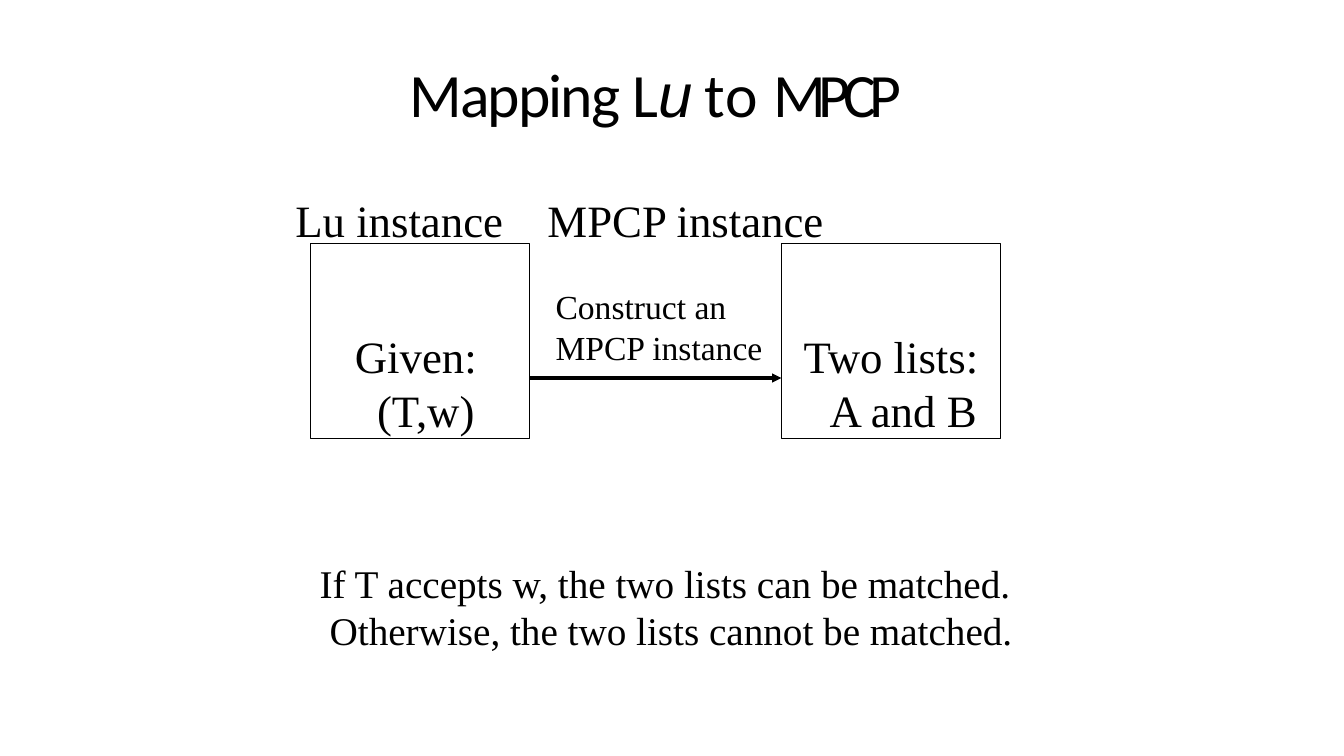
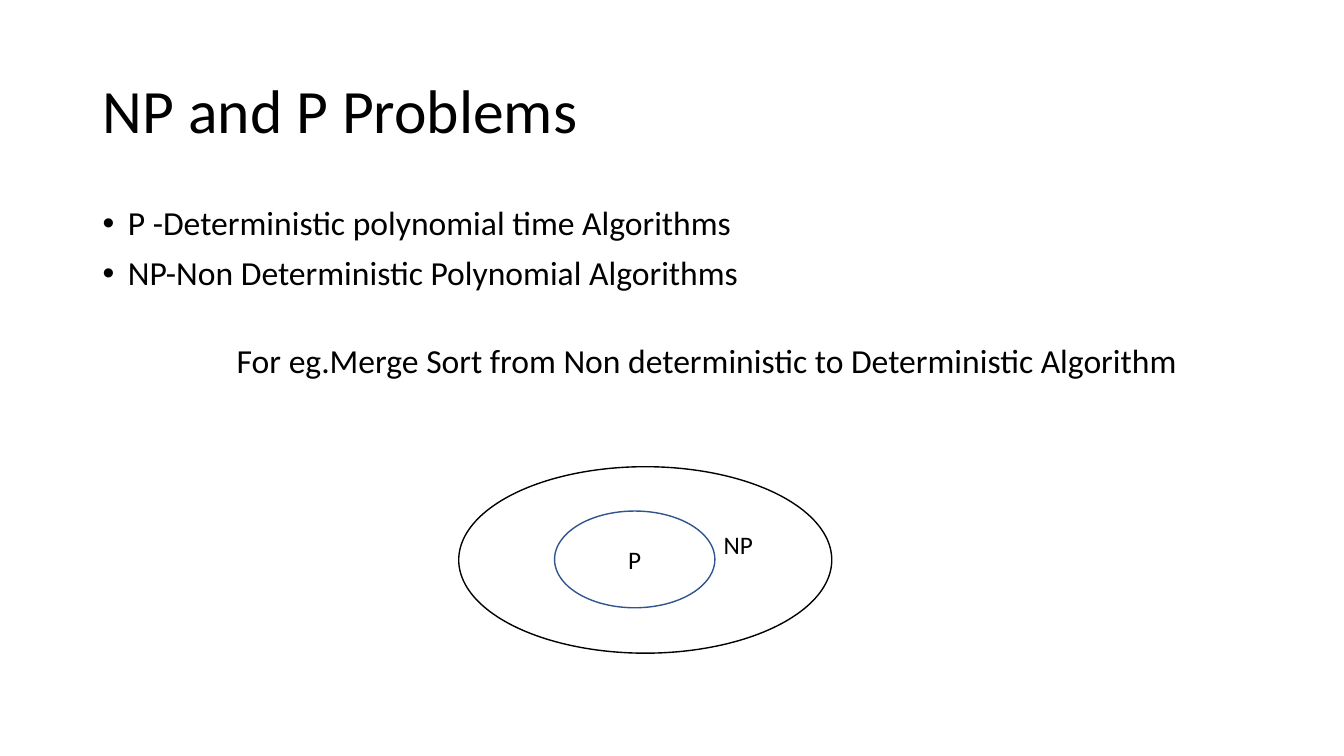
from dataclasses import dataclass

from lxml import etree
from pptx import Presentation
from pptx.dml.color import RGBColor
from pptx.enum.shapes import MSO_CONNECTOR, MSO_SHAPE
from pptx.enum.text import MSO_ANCHOR, MSO_AUTO_SIZE, PP_ALIGN
from pptx.oxml.ns import qn
from pptx.util import Inches, Pt

RECT, OVAL = MSO_SHAPE.RECTANGLE, MSO_SHAPE.OVAL
TOP, MIDDLE, BOTTOM = MSO_ANCHOR.TOP, MSO_ANCHOR.MIDDLE, MSO_ANCHOR.BOTTOM
LEFT, CENTER, RIGHT = PP_ALIGN.LEFT, PP_ALIGN.CENTER, PP_ALIGN.RIGHT

BLACK, WHITE, BLUE = "000000", "FFFFFF", "31538F"
SANS, SERIF, ITALIC_FONT = "Calibri", "Times New Roman", "Arial"
TITLE_SIZE = 44
TIGHT = (0.01, 0.01, 0, 0)
ROOMY = (0.1, 0.05, 0.1, 0.05)
TITLE_ONLY = 5


@dataclass
class Run:
    text: str
    spacing: float = 0
    font: str = ""
    italic: bool = False


@dataclass
class Para:
    runs: list[Run]
    left: float = 0
    hanging: float = 0
    bullet: str = ""
    tab: float = 0
    format: dict | None = None


@dataclass
class Style:
    size: float
    font: str
    insets: tuple = TIGHT
    anchor: MSO_ANCHOR = TOP
    align: PP_ALIGN = LEFT


@dataclass
class Stage:
    left: float
    lines: list[Para]


@dataclass
class Oval:
    at: tuple
    line: str
    label: str
    align: PP_ALIGN
    insets: tuple


def rgb(color: str) -> RGBColor:
    return RGBColor.from_string(color)


def line(text: str, left: float = 0, **options) -> Para:
    return Para([Run(text)], left, **options)


def box(at: tuple) -> list:
    return [Inches(v) for v in at]


def format_para(p, para: Para) -> None:
    """Set indents, bullet and tab, then the remaining paragraph formats."""
    ppr = p._p.get_or_add_pPr()
    ppr.set("marL", str(Inches(para.left)))
    ppr.set("indent", str(Inches(-para.hanging)))
    if para.bullet:
        color = etree.SubElement(ppr, qn("a:buClr"))
        etree.SubElement(color, qn("a:srgbClr"), val=BLACK)
        etree.SubElement(ppr, qn("a:buFont"), typeface=ITALIC_FONT)
        etree.SubElement(ppr, qn("a:buChar"), char=para.bullet)
    if para.tab:
        tabs = etree.SubElement(ppr, qn("a:tabLst"))
        etree.SubElement(tabs, qn("a:tab"), pos=str(Inches(para.tab)), algn="l")
    for name, value in (para.format or {}).items():
        setattr(p, name, value)


def write(tf, paras: list[Para], style: Style) -> None:
    sides = ("margin_left", "margin_top", "margin_right", "margin_bottom")
    formats = dict(zip(sides, box(style.insets)))
    formats |= {"word_wrap": True, "auto_size": MSO_AUTO_SIZE.NONE,
                "vertical_anchor": style.anchor}
    for name, value in formats.items():
        setattr(tf, name, value)
    for i, para in enumerate(paras):
        p = tf.add_paragraph() if i else tf.paragraphs[0]
        format_para(p, para)
        p.alignment = style.align
        for run in para.runs:
            r = p.add_run()
            r.text = run.text
            font = {"name": run.font or style.font, "size": Pt(style.size),
                    "italic": run.italic}
            for name, value in font.items():
                setattr(r.font, name, value)
            r.font.color.rgb = rgb(BLACK)
            if run.spacing:
                r.font._element.set("spc", str(round(run.spacing * 100)))


def add_slide(prs, at: tuple, title: Para, insets: tuple):
    s = prs.slides.add_slide(prs.slide_layouts[TITLE_ONLY])
    sp = s.shapes.title
    sp.left, sp.top, sp.width, sp.height = box(at)
    write(sp.text_frame, [title], Style(TITLE_SIZE, SANS, insets, MIDDLE))
    return s


def add_text(s, at: tuple, paras: list[Para], style: Style) -> None:
    write(s.shapes.add_textbox(*box(at)).text_frame, paras, style)


def add_outline(s, kind, at: tuple, color: str, width: float, fill: str = ""):
    sp = s.shapes.add_shape(kind, *box(at))
    sp.shadow.inherit = False
    if fill:
        sp.fill.solid()
        sp.fill.fore_color.rgb = rgb(fill)
    else:
        sp.fill.background()
    sp.line.color.rgb = rgb(color)
    sp.line.width = Pt(width)
    return sp


def add_arrow(s, start: tuple, end: tuple, width: float) -> None:
    c = s.shapes.add_connector(MSO_CONNECTOR.STRAIGHT, *box(start + end))
    c.line.color.rgb = rgb(BLACK)
    c.line.width = Pt(width)
    etree.SubElement(c.line._get_or_add_ln(), qn("a:tailEnd"), type="triangle")
    etree.SubElement(c._element.spPr, qn("a:effectLst"))


def mapping_slide(prs) -> None:
    title = Para([Run("Mapping ", -1.4), Run("L", -3.8),
                  Run("u ", -3.8, ITALIC_FONT, True), Run("to ", 0.6),
                  Run("MPCP", -5.2)])
    s = add_slide(prs, (4.05, 0.54, 5.23, 0.76), title, TIGHT)

    top, width, height = 2.42, 2.17, 1.93
    fixed = {"line_spacing": Pt(38.3)}
    stages = [
        Stage(3.08, [line("Given:", 0.43, format=fixed),
                     line("(T,w)", 0.65, format=fixed)]),
        Stage(7.75, [line("Two lists:", 0.21, format=fixed),
                     line("A and B", 0.47, format=fixed)]),
    ]
    stage_style = Style(32, SERIF, (0.01, 0.01, 0, 0.02), BOTTOM)
    for stage in stages:
        sp = add_outline(s, RECT, (stage.left, top, width, height), BLACK, 0.75)
        write(sp.text_frame, stage.lines, stage_style)

    source, target = stages
    arrow_y = 3.75
    add_arrow(s, (source.left + width, arrow_y), (target.left, arrow_y), 2.2)
    add_text(s, (5.5, 2.83, 2.15, 0.83),
             [line("Construct an"), line("MPCP instance")], Style(24, SERIF))
    add_text(s, (3.16, 5.54, 7, 0.96),
             [line("If T accepts w, the two lists can be matched."),
              line("Otherwise, the two lists cannot be matched.", 0.1)],
             Style(28, SERIF))
    add_text(s, (2.92, 1.9, 7.4, 0.56),
             [line("Lu instance\tMPCP instance", tab=4.51)], Style(32, SERIF))


def problems_slide(prs) -> None:
    s = add_slide(prs, (0.92, 0.4, 11.5, 1.45),
                  line("NP and P Problems", format={"line_spacing": 0.9}), ROOMY)
    text_style = Style(24, SANS, ROOMY)
    bullets = ["P -Deterministic polynomial time Algorithms",
               "NP-Non Deterministic Polynomial Algorithms"]
    add_text(s, (0.92, 2, 11.5, 5.38),
             [line(text, 0.25, hanging=0.25, bullet="•",
                   format={"line_spacing": 0.9, "space_before": Pt(10 if i else 0)})
              for i, text in enumerate(bullets)], text_style)

    ovals = [
        Oval((4.55, 4.63, 3.7, 1.85), BLACK, "NP", RIGHT, (0.1, 0.05, 0.24, 0.35)),
        Oval((5.5, 5.07, 1.59, 0.96), BLUE, "P", CENTER, ROOMY),
    ]
    for oval in ovals:
        sp = add_outline(s, OVAL, oval.at, oval.line, 1, WHITE)
        write(sp.text_frame, [line(oval.label)],
              Style(18, SANS, oval.insets, MIDDLE, oval.align))
    add_text(s, (2.25, 3.32, 10.66, 0.5),
             [line("For eg.Merge Sort from Non deterministic to Deterministic Algorithm")],
             text_style)


def main() -> None:
    prs = Presentation()
    prs.slide_width, prs.slide_height = Inches(13.33), Inches(7.5)
    mapping_slide(prs)
    problems_slide(prs)
    prs.save("out.pptx")


if __name__ == "__main__":
    main()
